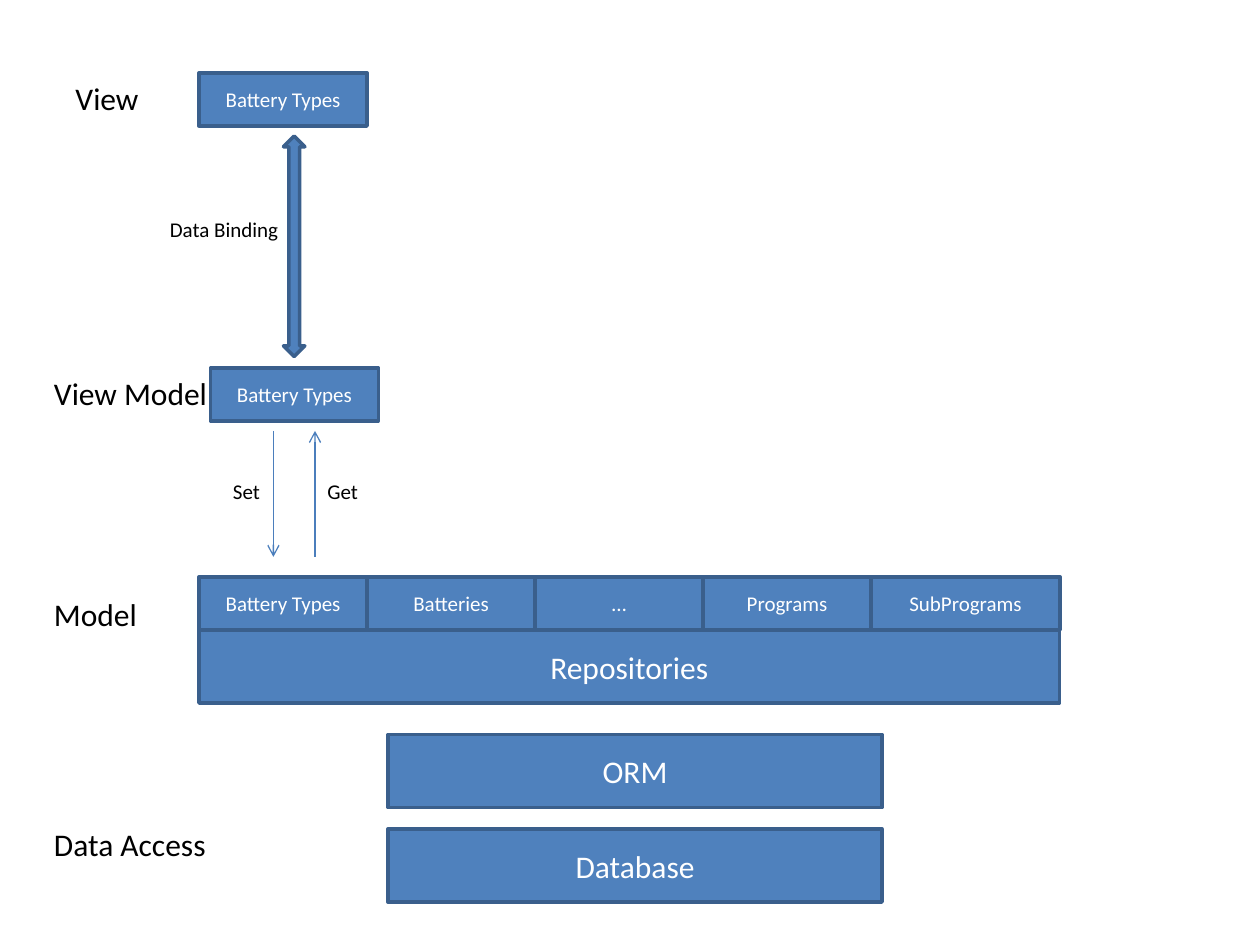
from lxml.etree import SubElement
from pptx import Presentation
from pptx.dml.color import RGBColor as RGB
from pptx.enum.shapes import MSO_CONNECTOR as LINK, MSO_SHAPE as SHAPE
from pptx.enum.text import MSO_ANCHOR as ANCHOR, MSO_AUTO_SIZE as FIT, PP_ALIGN as ALIGN
from pptx.oxml.ns import qn
from pptx.util import Inches, Pt

COLORS = {"fill": "4F81BD", "edge": "3A5F8C", "arrow": "4B7EBC",
          "light": "FFFFFF", "dark": "000000"}
BIG, SMALL = 18, 12
LEFT, CELL, ROW, BAR = 1.58, 4 / 3, 0.42, 0.58


class Board:
    def __init__(self, slide, font="Calibri"):
        self.slide = slide
        self.font = font

    def color(self, name):
        return RGB.from_string(COLORS[name])

    def set_text(self, frame, text, size, color):
        frame.text = text
        para = frame.paragraphs[0]
        para.font.name = self.font
        para.font.size = Pt(size)
        para.font.color.rgb = self.color(color)
        return para

    def shape(self, kind, x, y, w, h):
        item = self.slide.shapes.add_shape(
            kind, Inches(x), Inches(y), Inches(w), Inches(h))
        item.shadow.inherit = False
        item.fill.solid()
        item.fill.fore_color.rgb = self.color("fill")
        item.line.color.rgb = self.color("edge")
        item.line.width = Pt(2)
        return item

    def box(self, text, x, y, w, h, size=SMALL):
        frame = self.shape(SHAPE.RECTANGLE, x, y, w, h).text_frame
        frame.vertical_anchor = ANCHOR.MIDDLE
        frame.word_wrap = True
        self.set_text(frame, text, size, "light").alignment = ALIGN.CENTER

    def label(self, text, x, y, w, size=BIG):
        high = 0.4 if size == BIG else 0.3
        item = self.slide.shapes.add_textbox(
            Inches(x), Inches(y), Inches(w), Inches(high))
        frame = item.text_frame
        frame.word_wrap = False
        frame.auto_size = FIT.SHAPE_TO_FIT_TEXT
        self.set_text(frame, text, size, "dark")

    def arrow(self, x, start, end):
        """Draw an upright line with an open head at its end."""
        item = self.slide.shapes.add_connector(
            LINK.STRAIGHT, Inches(x), Inches(start), Inches(x), Inches(end))
        item.line.color.rgb = self.color("arrow")
        item.line.width = Pt(0.75)
        props = item._element.spPr
        SubElement(props.find(qn("a:ln")), qn("a:tailEnd"), type="arrow")
        SubElement(props, qn("a:effectLst"))


def main():
    deck = Presentation()
    deck.slide_width, deck.slide_height = Inches(10), Inches(7.5)
    board = Board(deck.slides.add_slide(deck.slide_layouts[6]))

    for text, y in (("Database", 6.58), ("ORM", 5.83)):
        board.box(text, 3.08, y, 3.92, BAR, BIG)
    board.box("Repositories", LEFT, 5, 6.83, BAR, BIG)

    models = ("Battery Types", "Batteries", "…", "Programs", "SubPrograms")
    for i, text in enumerate(models):
        wide = 1.5 if text == models[-1] else CELL
        board.box(text, LEFT + i * CELL, 4.58, wide, ROW)
    for x, y in ((LEFT, 0.58), (1.67, 2.92)):
        board.box("Battery Types", x, y, CELL, ROW)

    for text, x, y, wide in (("View", 0.5, 0.58, 0.71),
                             ("View Model", 0.33, 2.92, 1.43),
                             ("Model", 0.33, 4.67, 0.87),
                             ("Data Access", 0.33, 6.5, 1.42)):
        board.label(text, x, y, wide)

    board.shape(SHAPE.UP_DOWN_ARROW, 2.25, 1.08, 0.17, 1.75)
    board.arrow(2.17, 3.42, 4.42)
    board.arrow(2.5, 4.42, 3.42)
    for text, x, y, wide in (("Data Binding", 1.25, 1.67, 1.07),
                             ("Set", 1.75, 3.75, 0.42),
                             ("Get", 2.5, 3.75, 0.45)):
        board.label(text, x, y, wide, SMALL)

    deck.save("out.pptx")


if __name__ == "__main__":
    main()
